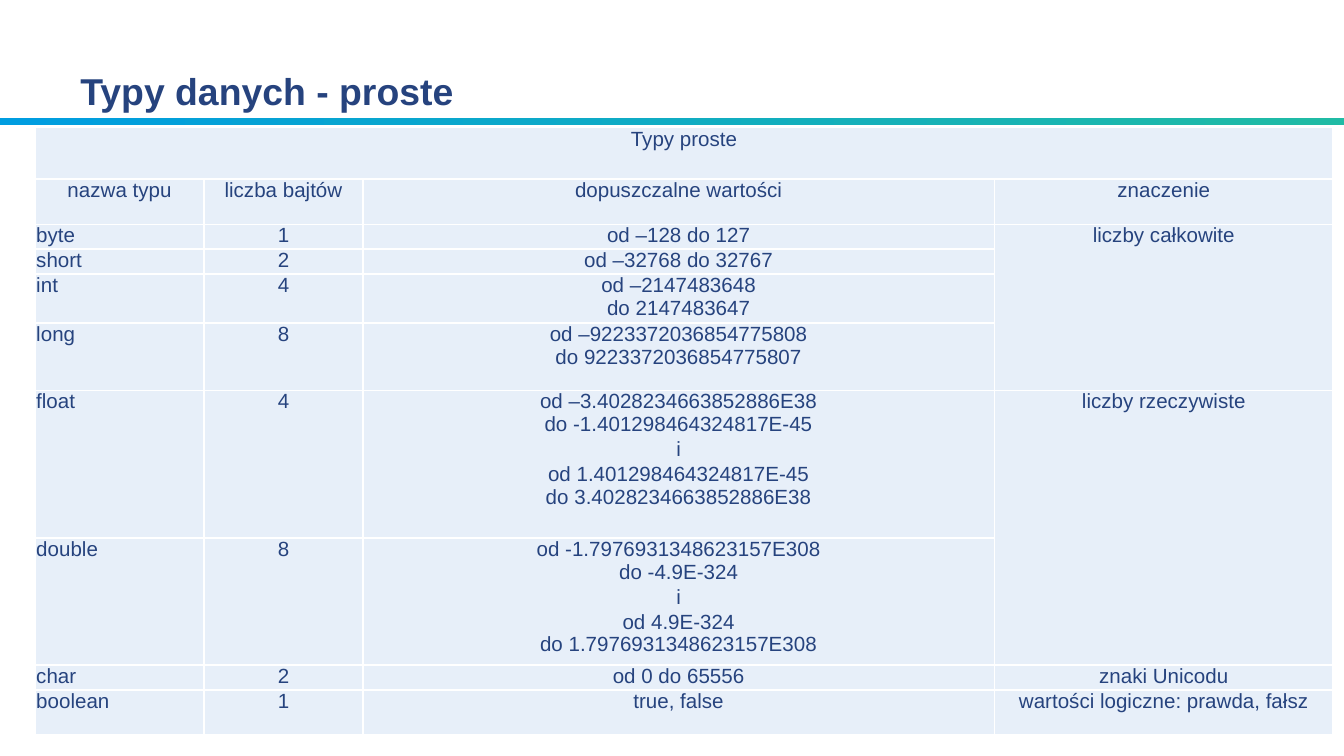
from lxml.etree import SubElement
from pptx import Presentation
from pptx.dml.color import RGBColor
from pptx.enum.shapes import MSO_SHAPE
from pptx.enum.text import MSO_ANCHOR, PP_ALIGN
from pptx.oxml.ns import qn
from pptx.util import Inches, Pt

NAVY = RGBColor(0x26, 0x43, 0x7E)
PALE_BLUE = RGBColor(0xE7, 0xEF, 0xF9)
WHITE = RGBColor(0xFF, 0xFF, 0xFF)
BLUE = RGBColor(0x00, 0x9D, 0xE0)
TEAL = RGBColor(0x20, 0xBB, 0xA5)

COLUMN_WIDTHS = [1.26, 1.18, 4.7, 2.52]
ROW_HEIGHTS = [0.38, 0.34, 0.17, 0.17, 0.34, 0.5, 1.1, 0.88, 0.17, 0.33]
ROWS = [
    ["Typy proste", "", "", ""],
    ["nazwa typu", "liczba bajtów", "dopuszczalne wartości", "znaczenie"],
    ["byte", "1", "od –128 do 127", "liczby całkowite"],
    ["short", "2", "od –32768 do 32767", ""],
    ["int", "4", "od –2147483648\ndo 2147483647", ""],
    ["long", "8", "od –9223372036854775808\ndo 9223372036854775807", ""],
    ["float", "4", "od –3.4028234663852886E38\ndo -1.401298464324817E-45\ni\n"
     "od 1.401298464324817E-45\ndo 3.4028234663852886E38", "liczby rzeczywiste"],
    ["double", "8", "od -1.7976931348623157E308\ndo -4.9E-324\ni\n"
     "od 4.9E-324\ndo 1.7976931348623157E308", ""],
    ["char", "2", "od 0 do 65556", "znaki Unicodu"],
    ["boolean", "1", "true, false", "wartości logiczne: prawda, fałsz"],
]
# First row, first column, last row, last column
MERGES = [(0, 0, 0, 3), (2, 3, 5, 3), (6, 3, 7, 3)]


def style_font(paragraph, size, bold=False):
    """Give a paragraph and its runs the slide's typeface and text colour."""
    for item in (paragraph, *paragraph.runs):
        font = item.font
        font.name, font.size, font.bold = "Arial", Pt(size), bold
        font.color.rgb = NAVY


def style_cell(cell):
    """Set the cell's insets, white borders and pale fill."""
    cell.margin_left = cell.margin_right = Inches(0.01)
    cell.margin_top = cell.margin_bottom = 0
    cell.vertical_anchor = MSO_ANCHOR.TOP
    properties = cell._tc.get_or_add_tcPr()
    for side in ("lnL", "lnR", "lnT", "lnB"):
        line = SubElement(properties, qn(f"a:{side}"), w=str(Pt(1)))
        SubElement(SubElement(line, qn("a:solidFill")), qn("a:srgbClr"), val=str(WHITE))
    cell.fill.solid()
    cell.fill.fore_color.rgb = PALE_BLUE


presentation = Presentation()
presentation.slide_width = Inches(10)
presentation.slide_height = presentation.slide_width * 9 // 16
slide = presentation.slides.add_slide(presentation.slide_layouts[6])

bar = slide.shapes.add_shape(MSO_SHAPE.RECTANGLE, 0, Inches(0.88),
                             presentation.slide_width, Inches(0.05))
bar.shadow.inherit = False
bar.line.fill.background()
bar.fill.gradient()
bar.fill.gradient_angle = 0
for stop, color in zip(bar.fill.gradient_stops, (BLUE, TEAL)):
    stop.color.rgb = color

title = slide.shapes.add_textbox(Inches(0.5), Inches(0.12), Inches(9), Inches(0.77))
title.text_frame.word_wrap = True
title.text_frame.vertical_anchor = MSO_ANCHOR.BOTTOM
title.text_frame.text = "Typy danych - proste"
style_font(title.text_frame.paragraphs[0], 20, bold=True)

table = slide.shapes.add_table(
    len(ROWS), len(COLUMN_WIDTHS), Inches(0.26), Inches(0.95),
    Inches(sum(COLUMN_WIDTHS)), Inches(sum(ROW_HEIGHTS))).table
table.first_row = table.horz_banding = False
for column, width in zip(table.columns, COLUMN_WIDTHS):
    column.width = Inches(width)
for row, height in zip(table.rows, ROW_HEIGHTS):
    row.height = Inches(height)

for row_index, texts in enumerate(ROWS):
    for column_index, text in enumerate(texts):
        cell = table.cell(row_index, column_index)
        style_cell(cell)
        cell.text = text
        is_type_name = column_index == 0 and row_index > 1
        for paragraph in cell.text_frame.paragraphs:
            style_font(paragraph, 11)
            paragraph.alignment = PP_ALIGN.LEFT if is_type_name else PP_ALIGN.CENTER
            if paragraph.text == "i":
                paragraph.space_before = paragraph.space_after = Pt(1)

for top, left, bottom, right in MERGES:
    table.cell(top, left).merge(table.cell(bottom, right))

presentation.save("out.pptx")
